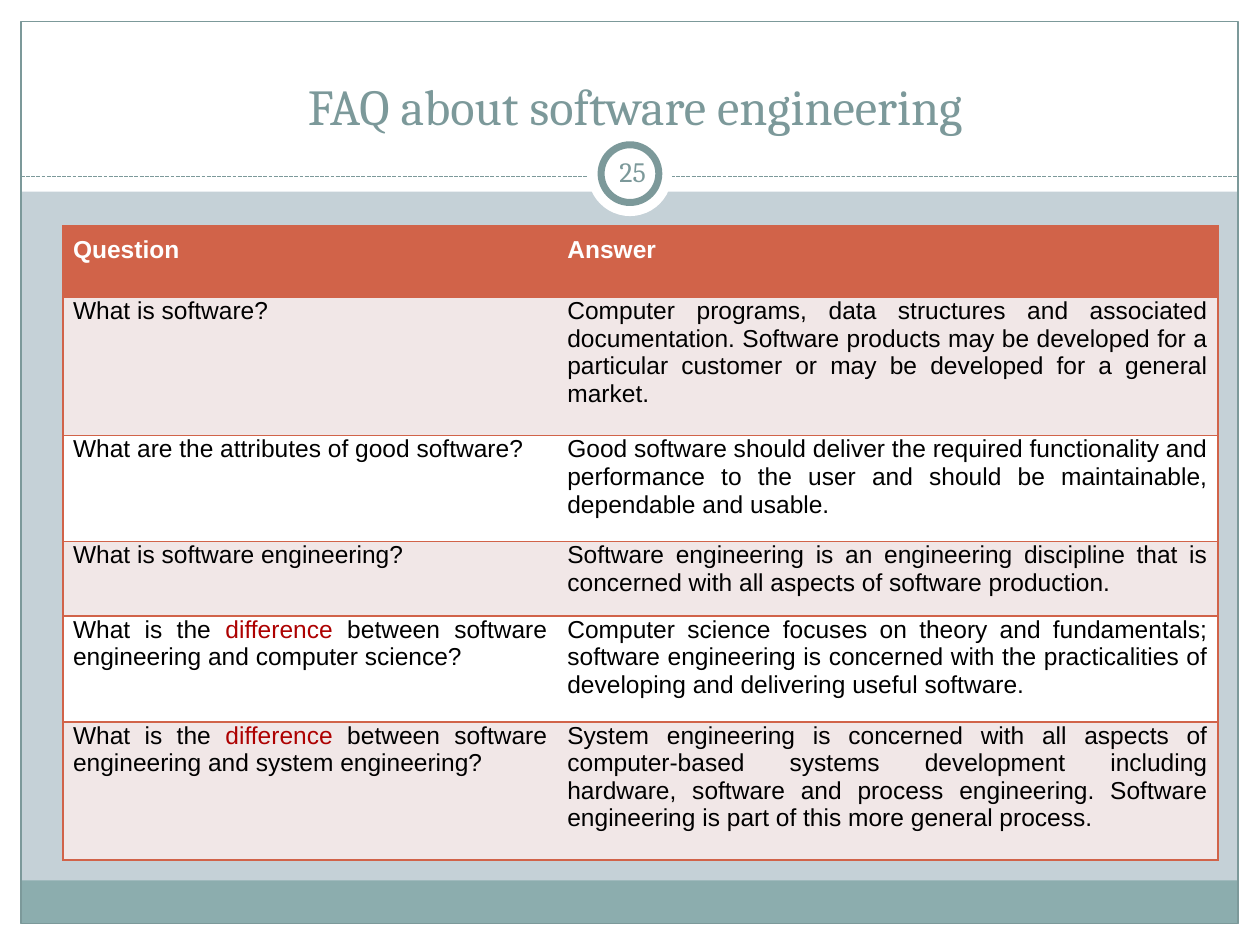
from lxml import etree
from pptx import Presentation
from pptx.dml.color import RGBColor
from pptx.enum import dml, shapes, text
from pptx.oxml.ns import qn
from pptx.util import Pt

WHITE, TEAL, ORANGE, PINK, RED = "FFFFFF", "7C999A", "D16349", "F1E7E7", "AD0101"


def color(value):
    return RGBColor.from_string(value)


def add_run(paragraph, words, font, size, value, bold=False):
    run = paragraph.add_run()
    run.text = words
    run.font.name, run.font.size, run.font.bold = font, Pt(size), bold
    run.font.color.rgb = color(value)


presentation = Presentation()
presentation.slide_width, presentation.slide_height = Pt(720), Pt(540)
slide = presentation.slides.add_slide(presentation.slide_layouts[5])
slide.background.fill.solid()
slide.background.fill.fore_color.rgb = color("C5D1D7")

# White margins, footer band, frame and the ringed badge
RECTANGLE, OVAL = shapes.MSO_SHAPE.RECTANGLE, shapes.MSO_SHAPE.OVAL
decorations = [
    (RECTANGLE, 0, 528, 720, 12, WHITE, 0),
    (RECTANGLE, 0, 0, 720, 109.5, WHITE, 0),
    (RECTANGLE, 0, 0, 12, 540, WHITE, 0),
    (RECTANGLE, 708, 0, 12, 540, WHITE, 0),
    (RECTANGLE, 11.75, 503, 695.5, 24.75, "8CADAE", 0),
    (RECTANGLE, 12, 12.25, 695.5, 515.5, None, 0.75),
    (OVAL, 336, 75.5, 48, 48, WHITE, 0),
    (OVAL, 343.5, 82.75, 33, 33, WHITE, 4),
]
for kind, left, top, width, height, fill, line in decorations:
    if (kind, line) == (OVAL, 0):
        # Dashed divider, behind the badge
        divider = slide.shapes.add_connector(
            shapes.MSO_CONNECTOR.STRAIGHT, Pt(12), Pt(100.75), Pt(707.5), Pt(100.75))
        divider.line.color.rgb = color(TEAL)
        divider.line.width = Pt(0.75)
        divider.line.dash_style = dml.MSO_LINE.SQUARE_DOT
        etree.SubElement(divider.element.spPr, qn("a:effectLst"))
    shape = slide.shapes.add_shape(kind, Pt(left), Pt(top), Pt(width), Pt(height))
    shape.shadow.inherit = False
    if fill:
        shape.fill.solid()
        shape.fill.fore_color.rgb = color(fill)
    else:
        shape.fill.background()
    if line:
        shape.line.color.rgb = color(TEAL)
        shape.line.width = Pt(line)
    else:
        shape.line.fill.background()

# Title, brought in front of the white header
title = slide.shapes.title
title.element.getparent().append(title.element)
title.left, title.top, title.width, title.height = Pt(36), Pt(36), Pt(654), Pt(78.5)
frame = title.text_frame
frame.auto_size = text.MSO_AUTO_SIZE.NONE
frame.vertical_anchor = text.MSO_ANCHOR.BOTTOM
frame.margin_bottom = Pt(37)
frame.paragraphs[0].alignment = text.PP_ALIGN.CENTER
add_run(frame.paragraphs[0], "FAQ about software engineering", "Cambria", 28.8, TEAL)

# Questions and answers; each cell is a list of runs, odd ones highlighted
rows = [
    (41, ["Question"], ["Answer"]),
    (79, ["What is software?"],
     ["Computer programs, data structures and associated documentation. Software products "
      "may be developed for a particular customer or may be developed for a general market."]),
    (60.5, ["What are the attributes of good software?"],
     ["Good software should deliver the required functionality and performance to the user "
      "and should be maintainable, dependable and usable."]),
    (42.5, ["What is software engineering?"],
     ["Software engineering is an engineering discipline that is concerned with all aspects "
      "of software production."]),
    (60.5, ["What is the ", "difference", " between software engineering and computer science?"],
     ["Computer science focuses on theory and fundamentals; software engineering is concerned "
      "with the practicalities of developing and delivering useful software."]),
    (79, ["What is the ", "difference", " between software engineering and system engineering?"],
     ["System engineering is concerned with all aspects of computer-based systems development "
      "including hardware, software and process engineering. Software engineering is part of "
      "this more general process."]),
]
table = slide.shapes.add_table(
    len(rows), 2, Pt(36), Pt(129), Pt(660), Pt(sum(row[0] for row in rows))).table
table.columns[0].width, table.columns[1].width = Pt(282.5), Pt(377.5)
for row_index, (height, *contents) in enumerate(rows):
    table.rows[row_index].height = Pt(height)
    header = row_index == 0
    for column_index, runs in enumerate(contents):
        cell = table.cell(row_index, column_index)
        cell.margin_left = cell.margin_right = cell.margin_bottom = Pt(5.75)
        cell.margin_top = Pt(5.75 if header else 0)
        cell.fill.solid()
        cell.fill.fore_color.rgb = color(
            ORANGE if header else PINK if row_index % 2 else WHITE)
        paragraph = cell.text_frame.paragraphs[0]
        paragraph.alignment = text.PP_ALIGN.JUSTIFY
        for run_index, words in enumerate(runs):
            value = WHITE if header else RED if run_index % 2 else "000000"
            add_run(paragraph, words, "Arial", 14, value, header)

        # Borders all round except between the two columns
        properties = cell._tc.get_or_add_tcPr()
        inner = "R" if column_index == 0 else "L"
        for position, side in enumerate("LRTB"):
            border = etree.Element(qn(f"a:ln{side}"), w=str(Pt(1)))
            if side == inner:
                etree.SubElement(border, qn("a:noFill"))
            else:
                solid = etree.SubElement(border, qn("a:solidFill"))
                etree.SubElement(solid, qn("a:srgbClr"), val=ORANGE)
            properties.insert(position, border)

# Slide number in the badge
number = slide.shapes.add_textbox(Pt(343.5), Pt(80.75), Pt(36), Pt(34.5))
frame = number.text_frame
frame.word_wrap = True
frame.vertical_anchor = text.MSO_ANCHOR.MIDDLE
frame.margin_left = frame.margin_right = frame.margin_top = frame.margin_bottom = Pt(3.6)
frame.paragraphs[0].alignment = text.PP_ALIGN.CENTER
add_run(frame.paragraphs[0], "25", "Cambria", 16, TEAL)

presentation.save("out.pptx")
